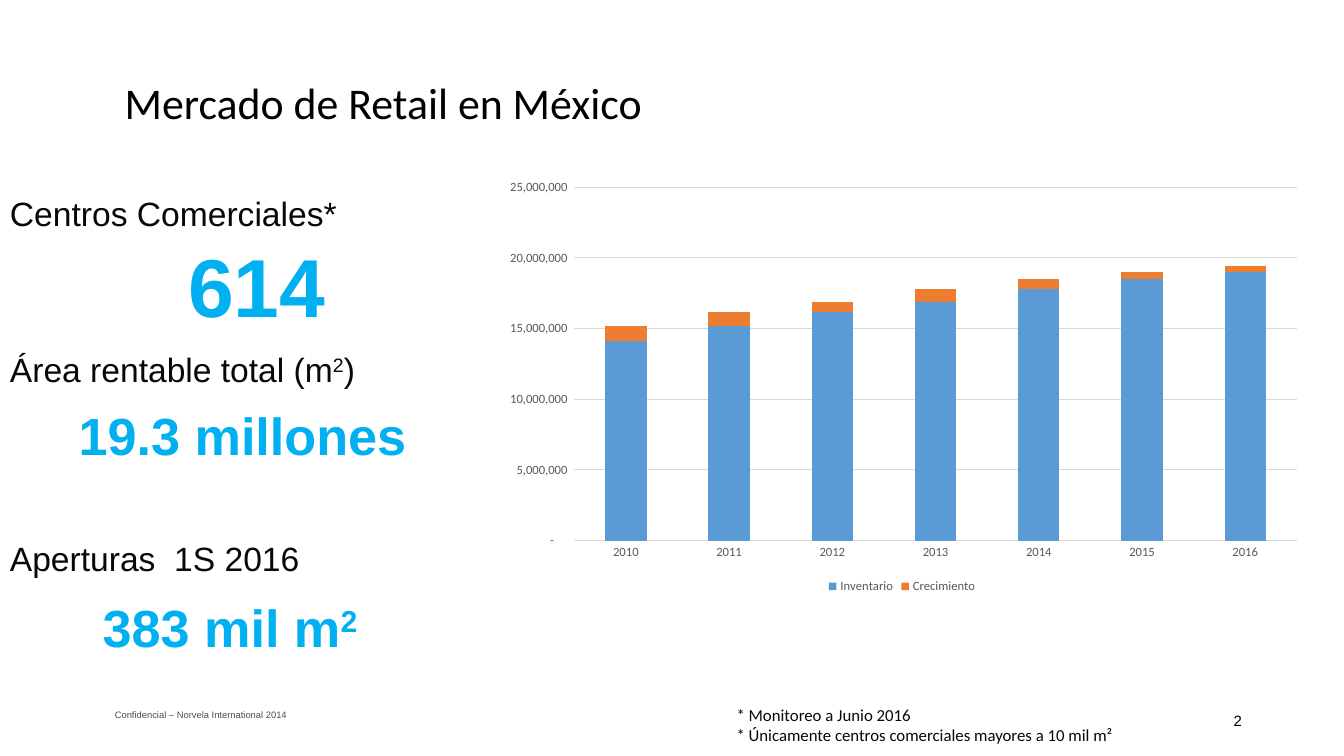
from pptx import Presentation
from pptx.chart.data import CategoryChartData
from pptx.dml.color import RGBColor
from pptx.enum.chart import XL_CHART_TYPE, XL_LEGEND_POSITION, XL_TICK_MARK
from pptx.enum.text import MSO_ANCHOR, MSO_AUTO_SIZE, PP_ALIGN
from pptx.util import Pt

STACKED = XL_CHART_TYPE.COLUMN_STACKED
BOTTOM = XL_LEGEND_POSITION.BOTTOM
NO_TICK = XL_TICK_MARK.NONE
TOP, MIDDLE = MSO_ANCHOR.TOP, MSO_ANCHOR.MIDDLE
LEFT, RIGHT = PP_ALIGN.LEFT, PP_ALIGN.RIGHT
GROW, FIXED = MSO_AUTO_SIZE.SHAPE_TO_FIT_TEXT, MSO_AUTO_SIZE.NONE

COLORS = {
    "title": "000000",
    "label": "080808",
    "figure": "00B0F0",
    "footer": "4D4D4D",
    "axis_text": "595959",
    "grid": "D9D9D9",
    "inventario": "5B9BD5",
    "crecimiento": "ED7D31",
}
ACCOUNTING = '_-* #,##0_-;\\-* #,##0_-;_-* "-"??_-;_-@_'
YEARS = [str(year) for year in range(2010, 2017)]
SERIES = [
    ("Inventario", "inventario",
     [14100000, 15200000, 16200000, 16900000, 17800000, 18500000, 19000000]),
    ("Crecimiento", "crecimiento",
     [1100000, 1000000, 700000, 900000, 700000, 500000, 400000]),
]


def rgb(name):
    return RGBColor.from_string(COLORS[name])


def add_text(slide, box, text, size, color, font="Arial", bold=False, align=LEFT,
             anchor=TOP, wrap=False, grow=True, inset=None, spacing=None):
    """Write one paragraph per line; text between carets is superscript."""
    frame = slide.shapes.add_textbox(*map(Pt, box)).text_frame
    frame.word_wrap = wrap
    frame.auto_size = GROW if grow else FIXED
    frame.vertical_anchor = anchor
    if inset is not None:
        frame.margin_left = frame.margin_right = Pt(inset)
        frame.margin_top = frame.margin_bottom = Pt(inset)
    for number, line in enumerate(text.split("\n")):
        paragraph = frame.add_paragraph() if number else frame.paragraphs[0]
        paragraph.alignment = align
        if spacing:
            paragraph.line_spacing = spacing
        for position, piece in enumerate(line.split("^")):
            if not piece:
                continue
            run = paragraph.add_run()
            run.text = piece
            run.font.name, run.font.size, run.font.bold = font, Pt(size), bold
            run.font.color.rgb = rgb(color)
            if position % 2:
                run.font._element.set("baseline", "30000")


def add_header(slide, box):
    add_text(slide, box, "Mercado de Retail en México", 31.3, "title", "Calibri",
             anchor=MIDDLE, wrap=True, grow=False, spacing=0.9)


def add_key_figures(slide, box):
    """Stack label and highlighted figure pairs down the column."""
    left, top, width, _ = box
    indicators = [
        ("Centros Comerciales*", 0, "614", 127.4, 31, 58.7, 113),
        ("Área rentable total (m^2^)", 111.6, "19.3 millones", 49, 150.5, 37.3, 251.3),
        ("Aperturas  1S 2016", 247, "383 mil m^2^", 66.2, 288, 37.3, 200.2),
    ]
    label_widths = [250.6, 265, 223.2]
    for (label, label_y, figure, indent, figure_y, size, figure_width), label_width in zip(
            indicators, label_widths):
        add_text(slide, (left, top + label_y, label_width, 36), label, 24, "label")
        add_text(slide, (left + indent, top + figure_y, min(figure_width, width), size * 1.4),
                 figure, size, "figure", bold=True)


def style_font(font, size=9):
    font.name, font.size = "Calibri", Pt(size)
    font.color.rgb = rgb("axis_text")


def add_inventory_chart(slide, box):
    data = CategoryChartData(number_format=ACCOUNTING)
    data.categories = YEARS
    for name, _, values in SERIES:
        data.add_series(name, values)
    chart = slide.shapes.add_chart(STACKED, *map(Pt, box), data).chart
    style_font(chart.font, 10)
    chart.has_title = False
    chart.has_legend = True
    chart.legend.position = BOTTOM
    chart.legend.include_in_layout = False
    style_font(chart.legend.font)

    plot = chart.plots[0]
    plot.gap_width, plot.overlap, plot.vary_by_categories = 150, 100, False
    for series, (_, color, _) in zip(plot.series, SERIES):
        series.format.fill.solid()
        series.format.fill.fore_color.rgb = rgb(color)

    years, area = chart.category_axis, chart.value_axis
    for axis in (years, area):
        axis.major_tick_mark = axis.minor_tick_mark = NO_TICK
        style_font(axis.tick_labels.font)
    area.minimum_scale, area.maximum_scale, area.major_unit = 0, 25000000, 5000000
    area.tick_labels.number_format = ACCOUNTING
    area.tick_labels.number_format_is_linked = False
    area.format.line.fill.background()
    area.has_major_gridlines = True
    for line in (years.format.line, area.major_gridlines.format.line):
        line.color.rgb = rgb("grid")
        line.width = Pt(0.75)


def add_footer(slide, box):
    """Confidentiality line, notes and slide number."""
    left, top, _, _ = box
    add_text(slide, (left, top + 6.5, 183.6, 22.3),
             "Confidencial – Norvela International 2014", 6.7, "footer",
             wrap=True, grow=False, inset=0)
    add_text(slide, (left + 437, top, 289.4, 36),
             "* Monitoreo a Junio 2016\n"
             "* Únicamente centros comerciales mayores a 10 mil m²",
             12, "label", "Calibri")
    add_text(slide, (left + 596.2, top + 0.7, 216, 28.8), "2", 10.7, "title",
             align=RIGHT, anchor=MIDDLE, wrap=True, grow=False)


def main():
    presentation = Presentation()
    presentation.slide_width, presentation.slide_height = Pt(960), Pt(540)
    slide = presentation.slides.add_slide(presentation.slide_layouts[6])
    add_header(slide, (82, 43.2, 864, 63.4))
    add_key_figures(slide, (0, 133.9, 320, 341))
    add_inventory_chart(slide, (350.6, 122.4, 587.5, 304.6))
    add_footer(slide, (82, 499.7, 812, 36))
    presentation.save("out.pptx")


if __name__ == "__main__":
    main()
